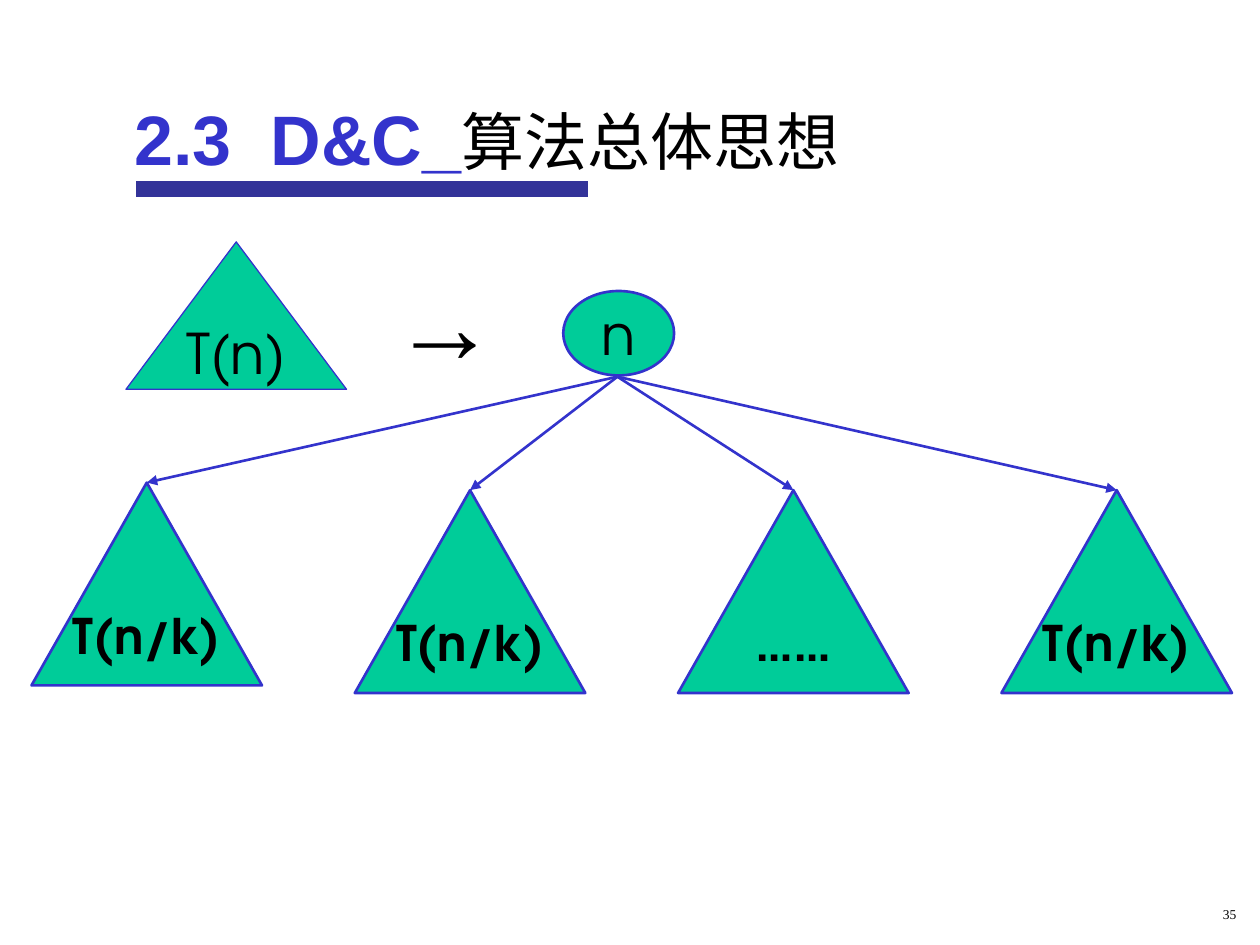
from dataclasses import dataclass

import pptx
import pptx.dml.color
import pptx.enum.shapes
import pptx.enum.text
import pptx.oxml
import pptx.oxml.ns
import pptx.util

Inches = pptx.util.Inches
Pt = pptx.util.Pt
SHAPE = pptx.enum.shapes.MSO_SHAPE
ALIGN = pptx.enum.text.PP_ALIGN
NS = pptx.oxml.ns.nsdecls("a")


@dataclass(frozen=True)
class Theme:
    ink: str = "000000"
    accent: str = "3333CC"
    rule: str = "333399"
    node: str = "00CC99"
    heading_font: str = "Arial"
    node_font: str = "TeX Gyre Adventor"
    serif_font: str = "Times New Roman"
    heading_size: float = 40
    subject_size: float = 36
    node_size: float = 32
    subproblem_size: float = 28
    arrow_size: float = 60
    number_size: float = 7.7


THEME = Theme()


def rgb(value):
    return pptx.dml.color.RGBColor.from_string(value)


def add_run(paragraph, text, color=THEME.ink, **formats):
    run = paragraph.add_run()
    run.text = text
    for name, value in formats.items():
        setattr(run.font, name, value)
    run.font.color.rgb = rgb(color)


def add_text(slide, left, top, width, height, align=ALIGN.LEFT):
    """Add a wrapping text box and return its first paragraph."""
    box = slide.shapes.add_textbox(
        Inches(left), Inches(top), Inches(width), Inches(height))
    box.text_frame.word_wrap = True
    paragraph = box.text_frame.paragraphs[0]
    paragraph.alignment = align
    return paragraph


def add_node(slide, kind, left, top, width, height, label,
             size=THEME.node_size, bold=False, outline=1.5):
    node = slide.shapes.add_shape(
        kind, Inches(left), Inches(top), Inches(width), Inches(height))
    node.shadow.inherit = False
    node.fill.solid()
    node.fill.fore_color.rgb = rgb(THEME.node)
    node.line.color.rgb = rgb(THEME.accent)
    node.line.width = Pt(outline)
    frame = node.text_frame
    frame.word_wrap = False
    frame.vertical_anchor = pptx.enum.text.MSO_ANCHOR.MIDDLE
    frame.paragraphs[0].alignment = ALIGN.CENTER
    add_run(frame.paragraphs[0], label, name=THEME.node_font,
            size=Pt(size), bold=bold)
    return node


def add_line(slide, start, end, color, width):
    line = slide.shapes.add_connector(
        pptx.enum.shapes.MSO_CONNECTOR.STRAIGHT,
        *(Inches(value) for value in (*start, *end)))
    line.line.color.rgb = rgb(color)
    line.line.width = Pt(width)
    line._element.spPr.append(pptx.oxml.parse_xml(f"<a:effectLst {NS}/>"))
    return line


def add_branch(slide, start, child):
    """Draw an arrow from a point to the apex of a child triangle."""
    branch = add_line(slide, start, start, THEME.accent, 1.5)
    branch.end_connect(child, 0)
    branch.line._get_or_add_ln().append(
        pptx.oxml.parse_xml(f'<a:tailEnd {NS} type="triangle"/>'))


def add_heading(slide):
    add_line(slide, (1.08, 1.5), (4.67, 1.5), THEME.rule, 9.5)
    heading = add_text(slide, 0.97, 0.58, 6.78, 0.9)
    heading.line_spacing = 1.2
    add_run(heading, "2.3  D&C_", THEME.accent, name=THEME.heading_font,
            size=Pt(THEME.heading_size), bold=True)
    add_run(heading, "算法总体思想", name=THEME.heading_font,
            size=Pt(THEME.subject_size), bold=False)


def add_recursion_tree(slide):
    add_node(slide, SHAPE.ISOSCELES_TRIANGLE, 1, 1.92, 1.75, 1.17, "T(n)",
             outline=0.75)
    becomes = add_text(slide, 2.95, 2, 1.17, 1.1, ALIGN.CENTER)
    add_run(becomes, "→", name=THEME.serif_font, size=Pt(THEME.arrow_size))
    add_node(slide, SHAPE.OVAL, 4.47, 2.31, 0.88, 0.67, "n")

    first_left, pitch = 0.25, 2.566
    subproblems = [("T(n/k)", 3.83), ("T(n/k)", 3.89),
                   ("……", 3.89), ("T(n/k)", 3.89)]
    for column, (label, top) in enumerate(subproblems):
        child = add_node(slide, SHAPE.ISOSCELES_TRIANGLE,
                         first_left + column * pitch, top, 1.83, 1.61, label,
                         size=THEME.subproblem_size, bold=True)
        add_branch(slide, (4.9, 2.99), child)


def add_slide_number(slide):
    number = add_text(slide, 7.83, 7.17, 2.08, 0.25, ALIGN.RIGHT)
    number.line_spacing = 0.8
    add_run(number, "35", name=THEME.serif_font, size=Pt(THEME.number_size))


def main():
    deck = pptx.Presentation()
    deck.slide_width, deck.slide_height = Inches(10), Inches(7.5)
    slide = deck.slides.add_slide(deck.slide_layouts[6])
    add_heading(slide)
    add_recursion_tree(slide)
    add_slide_number(slide)
    deck.save("out.pptx")


if __name__ == "__main__":
    main()
